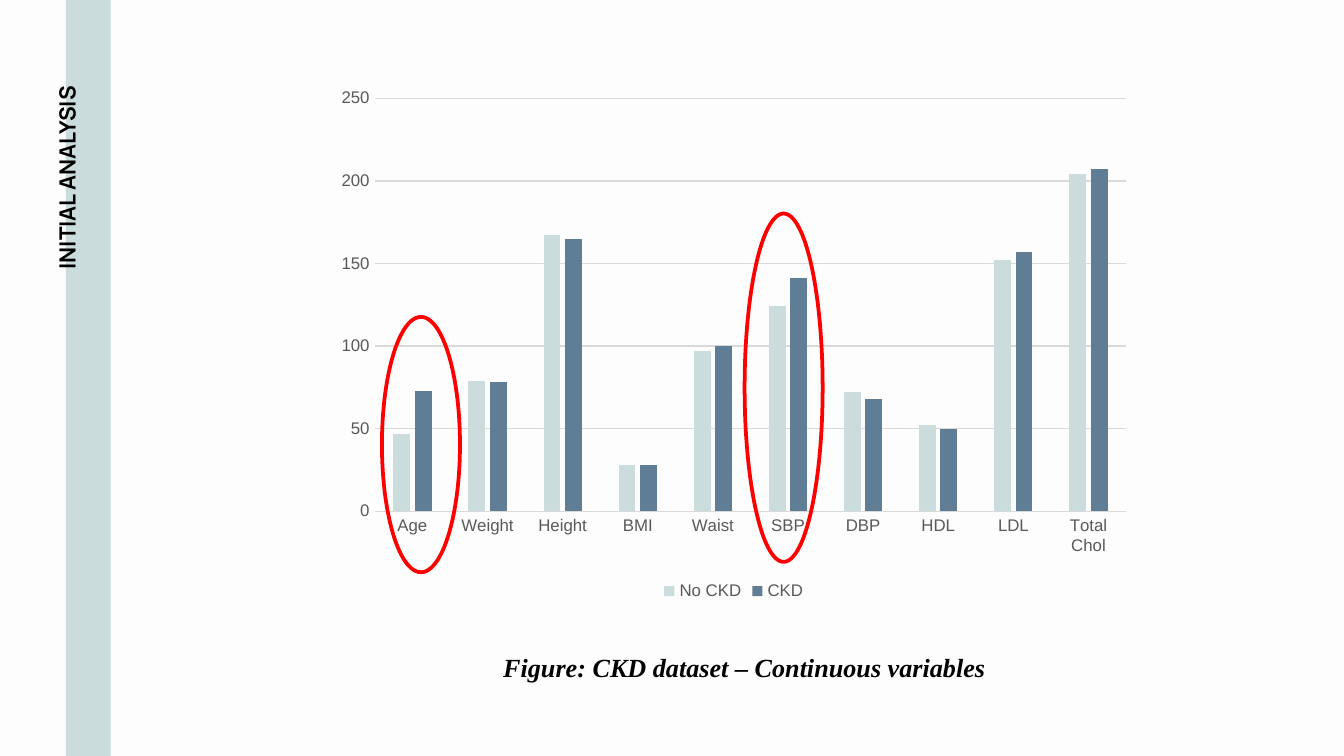
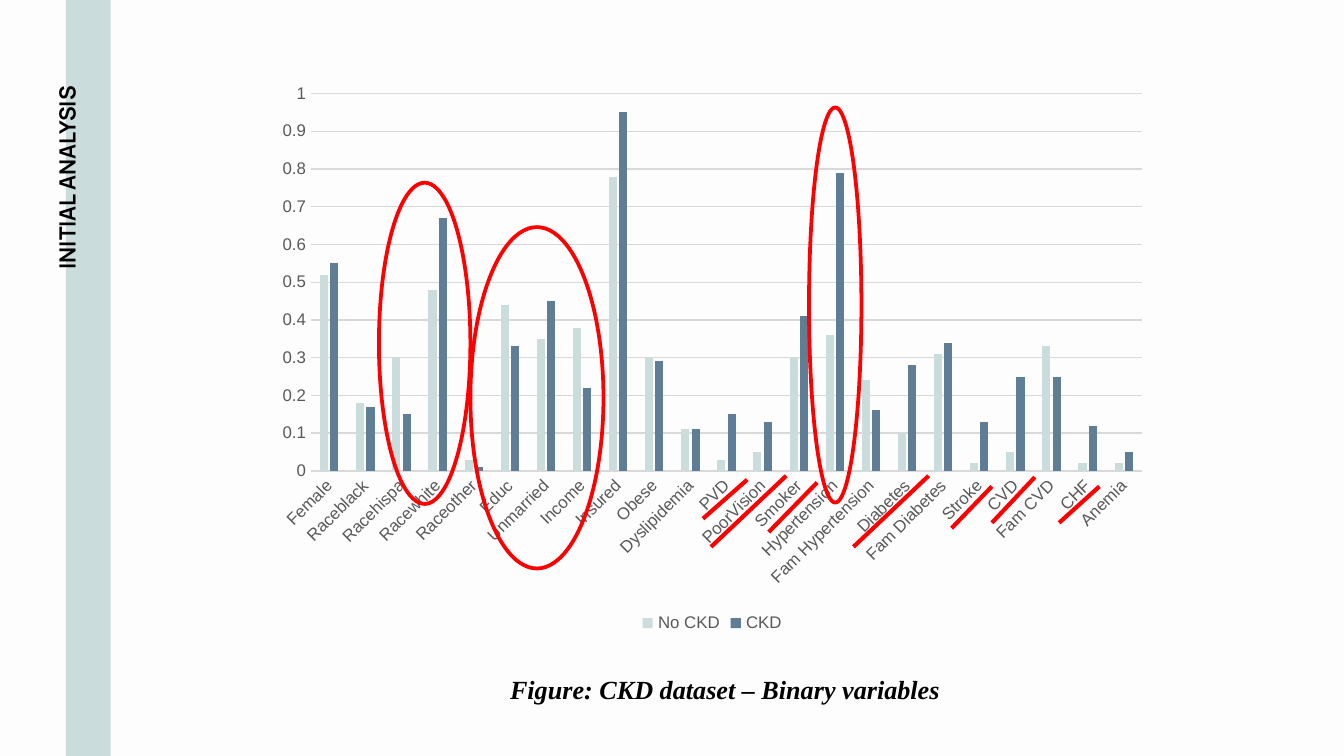
from dataclasses import dataclass

from lxml import etree
from pptx import Presentation
from pptx.chart.data import CategoryChartData
from pptx.dml.color import RGBColor
from pptx.enum.chart import XL_CHART_TYPE, XL_LEGEND_POSITION, XL_TICK_MARK
from pptx.enum.shapes import MSO_CONNECTOR, MSO_SHAPE
from pptx.enum.text import MSO_ANCHOR, MSO_AUTO_SIZE, PP_ALIGN
from pptx.oxml.ns import qn
from pptx.util import Pt

CLUSTERED = XL_CHART_TYPE.COLUMN_CLUSTERED
LEGEND_BOTTOM = XL_LEGEND_POSITION.BOTTOM
NO_TICK = XL_TICK_MARK.NONE
STRAIGHT = MSO_CONNECTOR.STRAIGHT
OVAL = MSO_SHAPE.OVAL
RECTANGLE = MSO_SHAPE.RECTANGLE
MIDDLE = MSO_ANCHOR.MIDDLE
NO_FIT = MSO_AUTO_SIZE.NONE
GROW = MSO_AUTO_SIZE.SHAPE_TO_FIT_TEXT
CENTER = PP_ALIGN.CENTER
RIGHT = PP_ALIGN.RIGHT

PAPER = "FDFDFD"
INK = "000000"
MIST = "CADCDC"
SLATE = "5F7D95"
LABEL_GREY = "595959"
GRID_GREY = "D9D9D9"
ALERT = "FF0000"
SERIES_COLOURS = {"No CKD": MIST, "CKD": SLATE}
SLIDE_W, SLIDE_H = 720, 405
TITLE_BOX = (-133.9, 200.2, 339.1, 16.6)
BAND_BOX = (35.3, -3.6, 24, 412.6)


@dataclass(frozen=True)
class Box:
    left: float
    top: float
    width: float
    height: float

    def points(self) -> tuple:
        return Pt(self.left), Pt(self.top), Pt(self.width), Pt(self.height)


@dataclass(frozen=True)
class Strike:
    start: tuple[float, float]
    end: tuple[float, float]


@dataclass(frozen=True)
class Figure:
    caption: str
    caption_box: Box
    caption_spacing: float
    chart_box: Box
    axis_max: float
    axis_step: float
    label_angle: int
    measures: dict[str, tuple[float, float]]
    rings: tuple[Box, ...]
    strikes: tuple[Strike, ...] = ()


FIGURES = (
    Figure(
        caption="Figure: CKD dataset – Continuous variables",
        caption_box=Box(258.5, 337.7, 280.8, 28.8),
        caption_spacing=1.45,
        chart_box=Box(174.2, 41.8, 437.8, 283),
        axis_max=250,
        axis_step=50,
        label_angle=0,
        measures={
            "Age": (47, 73),
            "Weight": (79, 78),
            "Height": (167, 165),
            "BMI": (28, 28),
            "Waist": (97, 100),
            "SBP": (124, 141),
            "DBP": (72, 68),
            "HDL": (52, 50),
            "LDL": (152, 157),
            "Total Chol": (204, 207),
        },
        rings=(Box(204.6, 169.8, 41.8, 136.8), Box(398.9, 114.4, 41.8, 186.6)),
    ),
    Figure(
        caption="Figure: CKD dataset – Binary variables",
        caption_box=Box(265, 352.8, 247, 26.6),
        caption_spacing=1.25,
        chart_box=Box(141.8, 38.9, 479.5, 303.1),
        axis_max=1,
        axis_step=0.1,
        label_angle=-45,
        measures={
            "Female": (0.52, 0.55),
            "Raceblack": (0.18, 0.17),
            "Racehispa": (0.3, 0.15),
            "Racewhite": (0.48, 0.67),
            "Raceother": (0.03, 0.01),
            "Educ": (0.44, 0.33),
            "Unmarried": (0.35, 0.45),
            "Income": (0.38, 0.22),
            "Insured": (0.78, 0.95),
            "Obese": (0.3, 0.29),
            "Dyslipidemia": (0.11, 0.11),
            "PVD": (0.03, 0.15),
            "PoorVision": (0.05, 0.13),
            "Smoker": (0.3, 0.41),
            "Hypertension": (0.36, 0.79),
            "Fam Hypertension": (0.24, 0.16),
            "Diabetes": (0.1, 0.28),
            "Fam Diabetes": (0.31, 0.34),
            "Stroke": (0.02, 0.13),
            "CVD": (0.05, 0.25),
            "Fam CVD": (0.33, 0.25),
            "CHF": (0.02, 0.12),
            "Anemia": (0.02, 0.05),
        },
        rings=(
            Box(203, 97.9, 49, 172.1),
            Box(252, 121.7, 71.3, 182.9),
            Box(433.4, 57.6, 28.1, 211.7),
        ),
        strikes=(
            Strike((376.6, 277.9), (400.3, 257)),
            Strike((380.9, 293), (421.2, 254.9)),
            Strike((411.8, 285.1), (437.8, 258.5)),
            Strike((457.2, 293), (497.5, 254.9)),
            Strike((509.8, 283), (531.4, 260.6)),
            Strike((531.4, 280.1), (554.4, 255.6)),
            Strike((567.4, 280.1), (589, 260.6)),
        ),
    ),
)


def colour(hex_code: str) -> RGBColor:
    return RGBColor.from_string(hex_code)


def style_font(font, name: str, size: float, hex_code: str,
               bold: bool = False, italic: bool = False) -> None:
    font.name = name
    font.size = Pt(size)
    font.color.rgb = colour(hex_code)
    font.bold = bold
    font.italic = italic


def style_line(line, hex_code: str, width: float) -> None:
    line.color.rgb = colour(hex_code)
    line.width = Pt(width)


def add_band(slide, layout) -> None:
    band = slide.shapes.add_shape(RECTANGLE, *Box(*BAND_BOX).points())
    band.shadow.inherit = False
    band.fill.solid()
    band.fill.fore_color.rgb = colour(MIST)
    band.line.fill.background()
    layout.shapes.element.insert(2, band.element)


def set_title(slide) -> None:
    title = slide.shapes.title
    title.left, title.top, title.width, title.height = Box(*TITLE_BOX).points()
    title.rotation = 270
    frame = title.text_frame
    frame.text = "INITIAL ANALYSIS"
    frame.auto_size = NO_FIT
    frame.vertical_anchor = MIDDLE
    frame.margin_left = frame.margin_right = Pt(7.2)
    frame.margin_top = frame.margin_bottom = Pt(7.2)
    heading = frame.paragraphs[0]
    heading.alignment = RIGHT
    style_font(heading.runs[0].font, "Manrope", 12, INK, bold=True)


def add_comparison(slide, figure: Figure) -> None:
    data = CategoryChartData()
    data.categories = list(figure.measures)
    for name, values in zip(SERIES_COLOURS, zip(*figure.measures.values())):
        data.add_series(name, values)
    chart = slide.shapes.add_chart(
        CLUSTERED, *figure.chart_box.points(), data).chart
    style_font(chart.font, "Arial", 10, INK)
    chart.has_title = False
    chart.has_legend = True
    chart.legend.position = LEGEND_BOTTOM
    chart.legend.include_in_layout = False
    style_font(chart.legend.font, "Arial", 9, LABEL_GREY)

    columns = chart.plots[0]
    columns.gap_width = 219
    columns.overlap = -27
    columns.vary_by_categories = False
    for series in columns.series:
        series.format.fill.solid()
        series.format.fill.fore_color.rgb = colour(SERIES_COLOURS[series.name])

    categories, values = chart.category_axis, chart.value_axis
    for axis in (categories, values):
        axis.major_tick_mark = axis.minor_tick_mark = NO_TICK
        style_font(axis.tick_labels.font, "Arial", 9, LABEL_GREY)
    style_line(categories.format.line, GRID_GREY, 0.75)
    values.format.line.fill.background()
    values.has_major_gridlines = True
    style_line(values.major_gridlines.format.line, GRID_GREY, 0.75)
    values.minimum_scale = 0
    values.maximum_scale = figure.axis_max
    values.major_unit = figure.axis_step
    if figure.label_angle:
        label_body = chart.element.xpath(".//c:catAx/c:txPr/a:bodyPr")[0]
        label_body.set("rot", str(figure.label_angle * 60000))


def add_caption(slide, figure: Figure) -> None:
    frame = slide.shapes.add_textbox(*figure.caption_box.points()).text_frame
    frame.word_wrap = True
    frame.auto_size = GROW
    frame.text = figure.caption
    caption = frame.paragraphs[0]
    caption.alignment = CENTER
    caption.line_spacing = figure.caption_spacing
    style_font(caption.runs[0].font, "Times New Roman", 14, INK,
               bold=True, italic=True)


def add_ring(slide, box: Box) -> None:
    ring = slide.shapes.add_shape(OVAL, *box.points())
    ring.shadow.inherit = False
    ring.fill.background()
    style_line(ring.line, ALERT, 2)


def add_strike(slide, strike: Strike) -> None:
    ends = [Pt(length) for length in strike.start + strike.end]
    mark = slide.shapes.add_connector(STRAIGHT, *ends)
    style_line(mark.line, ALERT, 2.25)
    etree.SubElement(mark.element.spPr, qn("a:effectLst"))


def main() -> None:
    deck = Presentation()
    deck.slide_width, deck.slide_height = Pt(SLIDE_W), Pt(SLIDE_H)
    backdrop = deck.slide_master.background.fill
    backdrop.solid()
    backdrop.fore_color.rgb = colour(PAPER)
    title_only = deck.slide_layouts.get_by_name("Title Only")
    for number, figure in enumerate(FIGURES):
        slide = deck.slides.add_slide(title_only)
        if number == 0:
            add_band(slide, title_only)
        set_title(slide)
        add_comparison(slide, figure)
        add_caption(slide, figure)
        for ring in figure.rings:
            add_ring(slide, ring)
        for strike in figure.strikes:
            add_strike(slide, strike)
    deck.save("out.pptx")


if __name__ == "__main__":
    main()
